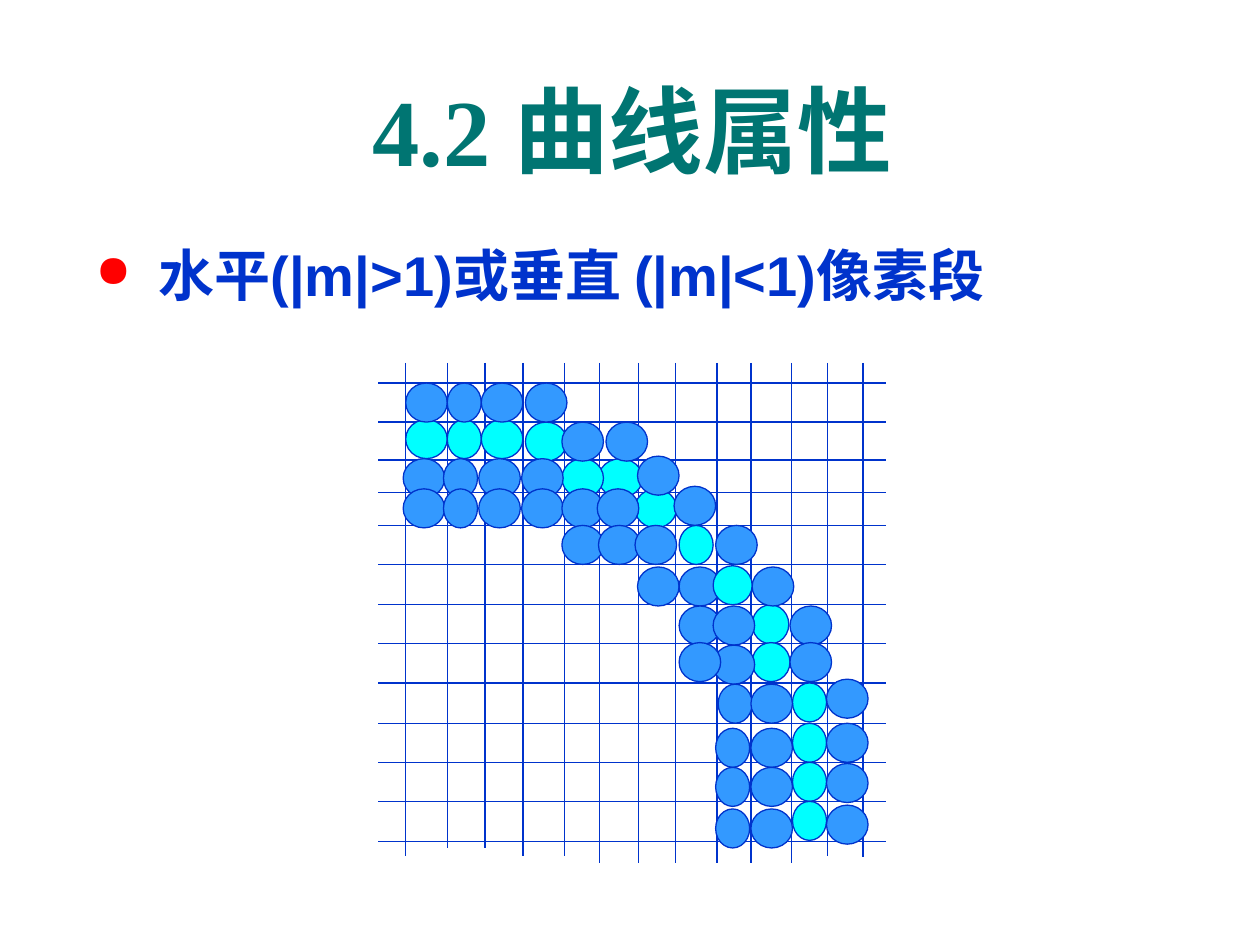
from lxml import etree
from pptx import Presentation
from pptx.dml.color import RGBColor
from pptx.enum.shapes import MSO_CONNECTOR, MSO_SHAPE
from pptx.enum.text import MSO_ANCHOR, PP_ALIGN
from pptx.oxml.ns import qn
from pptx.util import Inches, Pt

STRAIGHT = MSO_CONNECTOR.STRAIGHT
OVAL = MSO_SHAPE.OVAL
MIDDLE = MSO_ANCHOR.MIDDLE
CENTER = PP_ALIGN.CENTER
TITLE_ONLY = 5

TEAL, BLUE, RED = "007572", "0033CC", "FF0000"
CURVE, BRUSH = "00FFFF", "3399FF"
WIDE, NARROW, HEIGHT = 0.33, 0.27, 0.31

# Grid lines: (x, bottom) and y
GRID_TOP, GRID_LEFT, GRID_RIGHT = 2.88, 3, 7.03
COLUMNS = [(3.22, 6.79), (3.55, 6.73), (3.85, 6.73), (4.15, 6.79), (4.48, 6.79),
           (4.76, 6.85), (5.07, 6.85), (5.36, 6.85), (5.69, 6.85), (5.96, 6.85),
           (6.28, 6.85), (6.57, 6.79), (6.85, 6.80)]
ROWS = [3.04, 3.35, 3.65, 3.91, 4.17, 4.48, 4.80, 5.11, 5.42, 5.74, 6.05, 6.36, 6.68]

# Pixels: (top, [(left, width), ...]), later ones lie on top
CURVE_PIXELS = [
    (3.33, [(3.22, WIDE), (3.55, NARROW), (3.82, WIDE)]),
    (3.35, [(4.17, WIDE)]),
    (3.64, [(4.75, 0.35), (4.46, WIDE)]),
    (3.88, [(5.04, WIDE)]),
    (4.17, [(5.39, NARROW)]),
    (4.80, [(5.97, 0.29)]),
    (5.10, [(5.97, 0.30)]),
] + [(top, [(6.29, NARROW)]) for top in (5.42, 5.74, 6.05, 6.36)]

LEFT_BRUSH = [(3.20, WIDE), (3.52, NARROW), (3.80, WIDE), (4.14, WIDE)]
UPPER_BRUSH = [
    (3.04, [(3.22, WIDE), (3.55, NARROW), (3.82, WIDE), (4.17, WIDE)]),
    (3.64, LEFT_BRUSH),
    (3.88, LEFT_BRUSH),
    (3.35, [(4.46, WIDE), (4.81, WIDE)]),
    (3.88, [(4.46, WIDE), (4.74, WIDE)]),
    (4.17, [(4.46, WIDE), (4.75, WIDE), (5.04, WIDE), (5.68, WIDE)]),
    (3.62, [(5.06, WIDE)]),
    (3.86, [(5.35, WIDE)]),
    (4.50, [(5.06, WIDE), (5.39, WIDE), (5.97, WIDE)]),
]
CORNER_PIXEL = [(4.49, [(5.66, HEIGHT)])]
LOWER_BRUSH = [
    (4.81, [(5.39, WIDE), (5.66, WIDE), (6.27, WIDE)]),
    (5.12, [(5.66, WIDE)]),
    (5.10, [(5.39, WIDE), (6.27, WIDE)]),
    (5.43, [(5.70, NARROW), (5.96, WIDE)]),
] + [(top, [(5.68, NARROW), (5.96, WIDE)]) for top in (5.78, 6.09, 6.42)] + [
    (top, [(6.56, WIDE)]) for top in (5.39, 5.74, 6.06, 6.39)]


def color(value):
    return RGBColor.from_string(value)


class SlideBuilder:
    latin, body_font, chinese = "Times New Roman", "Arial", "Noto Sans CJK SC"
    line_width = Pt(0.75)

    def __init__(self, slide):
        self.slide = slide
        self.group = slide.shapes.add_group_shape()

    def set_east_asian(self, properties):
        etree.SubElement(properties, qn("a:ea"), typeface=self.chinese)

    def title(self, number, words, left, top, width, height):
        shape = self.slide.shapes.title
        shape.left, shape.top = Inches(left), Inches(top)
        shape.width, shape.height = Inches(width), Inches(height)
        shape.text_frame.vertical_anchor = MIDDLE
        paragraph = shape.text_frame.paragraphs[0]
        paragraph.alignment = CENTER
        paragraph.font.size, paragraph.font.bold = Pt(54), True
        paragraph.font.color.rgb = color(TEAL)
        for text, name in ((number, self.latin), (words, self.chinese)):
            run = paragraph.add_run()
            run.text = text
            run.font.name = name
            self.set_east_asian(run._r.get_or_add_rPr())

    def bullet(self, text, left, top, width, height):
        box = self.slide.shapes.add_textbox(
            Inches(left), Inches(top), Inches(width), Inches(height))
        box.text_frame.word_wrap = True
        paragraph = box.text_frame.paragraphs[0]
        paragraph.text = text
        properties = paragraph._p.get_or_add_pPr()
        properties.set("marL", str(Inches(0.5)))
        properties.set("indent", str(-Inches(0.5)))
        bullet_color = etree.SubElement(properties, qn("a:buClr"))
        etree.SubElement(bullet_color, qn("a:srgbClr"), val=RED)
        etree.SubElement(properties, qn("a:buSzPct"), val="80000")
        etree.SubElement(properties, qn("a:buChar"), char="●")
        paragraph.font.size, paragraph.font.bold = Pt(32), True
        paragraph.font.color.rgb = color(BLUE)
        paragraph.font.name = self.body_font
        self.set_east_asian(properties.find(qn("a:defRPr")))

    def line(self, x1, y1, x2, y2):
        connector = self.group.shapes.add_connector(
            STRAIGHT, Inches(x1), Inches(y1), Inches(x2), Inches(y2))
        connector.line.color.rgb = color(BLUE)
        connector.line.width = self.line_width
        etree.SubElement(connector._element.spPr, qn("a:effectLst"))

    def pixels(self, rows, fill):
        for top, cells in rows:
            for left, width in cells:
                shape = self.group.shapes.add_shape(
                    OVAL, Inches(left), Inches(top), Inches(width), Inches(HEIGHT))
                shape.shadow.inherit = False
                shape.fill.solid()
                shape.fill.fore_color.rgb = color(fill)
                shape.line.color.rgb = color(BLUE)
                shape.line.width = self.line_width


def main():
    presentation = Presentation()
    presentation.slide_width, presentation.slide_height = Inches(10), Inches(7.5)
    slide = presentation.slides.add_slide(presentation.slide_layouts[TITLE_ONLY])
    builder = SlideBuilder(slide)

    # Heading and statement
    builder.title("4.2 ", "曲线属性", 0.35, 0.52, 9.34, 1)
    builder.bullet("水平(|m|>1)或垂直 (|m|<1)像素段", 0.66, 1.86, 8.51, 0.63)

    # Pixel grid
    for x, bottom in COLUMNS:
        builder.line(x, GRID_TOP, x, bottom)
    for y in ROWS:
        builder.line(GRID_LEFT, y, GRID_RIGHT, y)

    # Curve and the brush pixels around it
    builder.pixels(CURVE_PIXELS, CURVE)
    builder.pixels(UPPER_BRUSH, BRUSH)
    builder.pixels(CORNER_PIXEL, CURVE)
    builder.pixels(LOWER_BRUSH, BRUSH)

    presentation.save("out.pptx")


if __name__ == "__main__":
    main()
